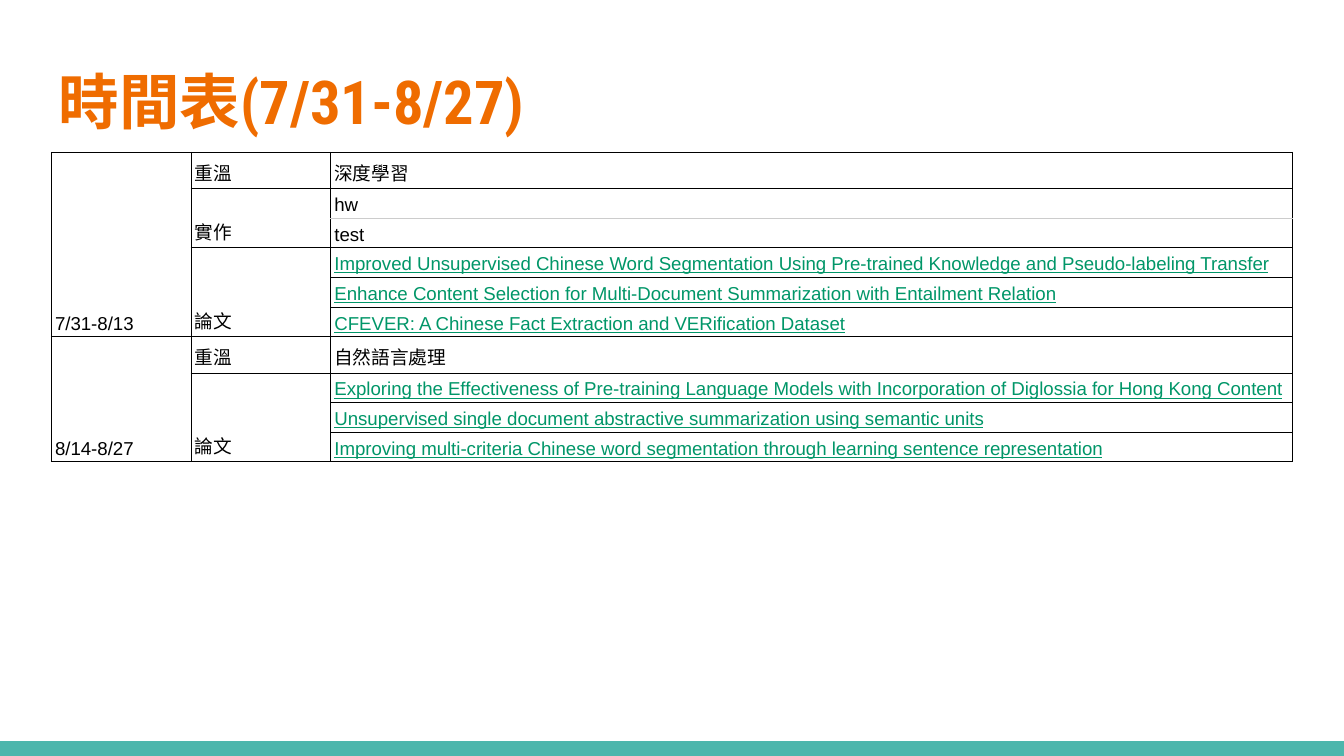
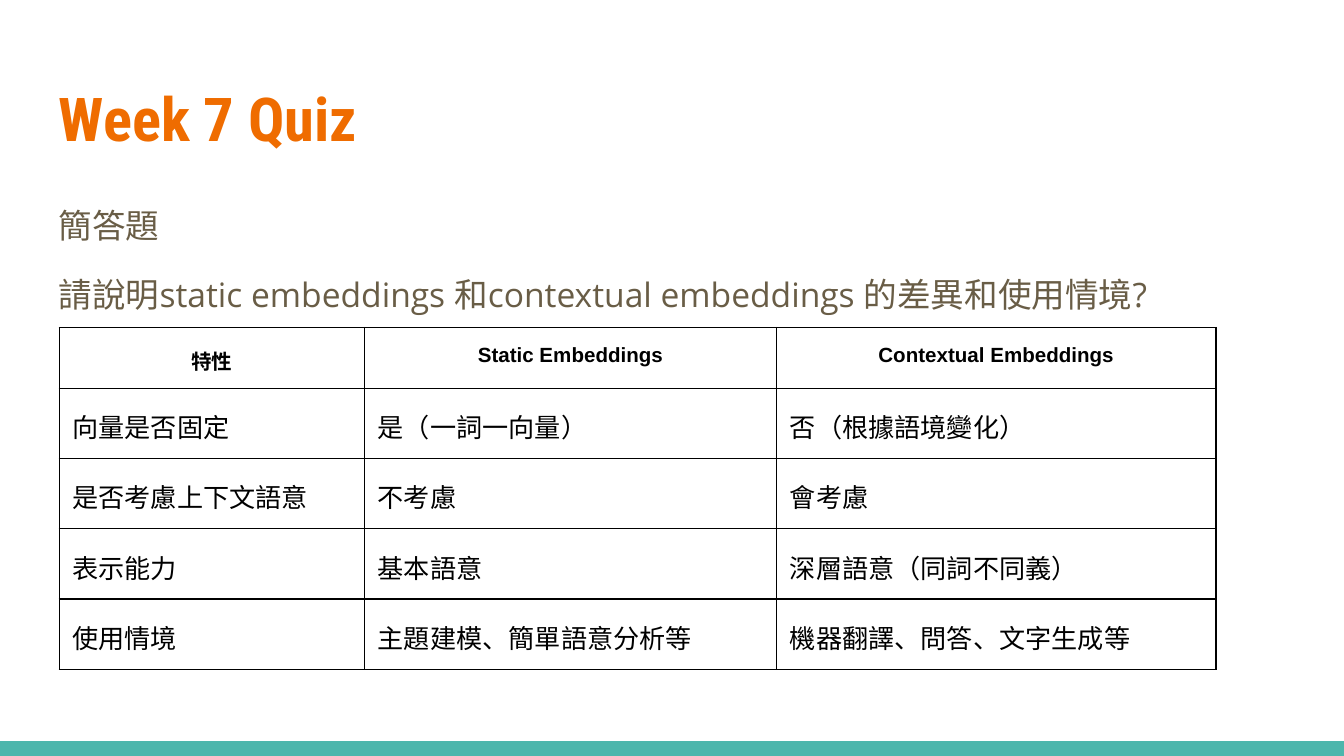
from lxml.etree import SubElement
from pptx import Presentation
from pptx.dml.color import RGBColor
from pptx.enum.shapes import MSO_SHAPE
from pptx.enum.text import MSO_ANCHOR, MSO_AUTO_SIZE, PP_ALIGN
from pptx.oxml.ns import qn
from pptx.util import Cm, Pt

COLORS = {"band": "4DB6AC", "title": "EF6C00", "body": "695D46",
          "text": "000000", "link": "009668", "border": "000000", "soft": "CCCCCC"}
LINE_SPACING = 1.15


def format_paragraph(para, font, size, color, bold=False, underline=False):
    for span in para.runs:
        span.font.name = font
        span.font.size = Pt(size)
        span.font.bold = bold
        span.font.underline = underline
        span.font.color.rgb = RGBColor.from_string(COLORS[color])


def set_borders(cell, width, soft_side=None):
    properties = cell._tc.get_or_add_tcPr()
    for side in ("lnL", "lnR", "lnT", "lnB"):
        line = SubElement(properties, qn(f"a:{side}"), w=str(Pt(width)))
        fill = SubElement(line, qn("a:solidFill"))
        color = COLORS["soft" if side == soft_side else "border"]
        SubElement(fill, qn("a:srgbClr"), val=color)


deck = Presentation()
deck.slide_width = Cm(25.4)
deck.slide_height = Cm(14.29)

# Pages with the shared band and title style
pages = []
for title, title_top, layout in (("時間表(7/31-8/27)", 0.91, 5), ("Week 7 Quiz", 1.24, 1)):
    page = deck.slides.add_slide(deck.slide_layouts[layout])
    pages.append(page)
    band = page.shapes.add_shape(MSO_SHAPE.RECTANGLE, 0, Cm(14.01), deck.slide_width, Cm(0.28))
    band.shadow.inherit = False
    band.fill.solid()
    band.fill.fore_color.rgb = RGBColor.from_string(COLORS["band"])
    band.line.fill.background()

    box = page.shapes.title
    box.left, box.top, box.width, box.height = Cm(0.86), Cm(title_top), Cm(23.67), Cm(1.96)
    frame = box.text_frame
    frame.text = title
    frame.auto_size = MSO_AUTO_SIZE.NONE
    frame.vertical_anchor = MSO_ANCHOR.MIDDLE
    frame.margin_left = frame.margin_right = frame.margin_top = frame.margin_bottom = Cm(0.25)
    frame.paragraphs[0].alignment = PP_ALIGN.LEFT
    format_paragraph(frame.paragraphs[0], "Roboto Condensed", 32.4, "title", bold=True)

schedule_page, quiz_page = pages

# Quiz question
box = quiz_page.placeholders[1]
box.left, box.top, box.width, box.height = Cm(0.86), Cm(3.51), Cm(23.67), Cm(9.17)
frame = box.text_frame
frame.text = "簡答題\n請說明static embeddings 和contextual embeddings 的差異和使用情境?"
frame.auto_size = MSO_AUTO_SIZE.NONE
frame.vertical_anchor = MSO_ANCHOR.TOP
frame.margin_left = frame.margin_right = frame.margin_top = frame.margin_bottom = Cm(0.25)
for para, gap in zip(frame.paragraphs, (0, 12)):
    para.line_spacing = LINE_SPACING
    para.space_before = para.space_after = Pt(gap)
    format_paragraph(para, "Open Sans", 18, "body")
    properties = para._p.get_or_add_pPr()
    properties.set("marL", "0")
    properties.set("indent", "0")
    SubElement(properties, qn("a:buNone"))

# Table contents; an empty cell continues the one above it
schedule_rows = [
    ("7/31-8/13", "重溫", "深度學習"),
    ("", "實作", "hw"),
    ("", "", "test"),
    ("", "論文", "Improved Unsupervised Chinese Word Segmentation Using "
                 "Pre-trained Knowledge and Pseudo-labeling Transfer"),
    ("", "", "Enhance Content Selection for Multi-Document Summarization with Entailment Relation"),
    ("", "", "CFEVER: A Chinese Fact Extraction and VERification Dataset"),
    ("8/14-8/27", "重溫", "自然語言處理"),
    ("", "論文", "Exploring the Effectiveness of Pre-training Language Models "
                 "with Incorporation of Diglossia for Hong Kong Content"),
    ("", "", "Unsupervised single document abstractive summarization using semantic units"),
    ("", "", "Improving multi-criteria Chinese word segmentation "
             "through learning sentence representation"),
]
quiz_rows = [
    ("特性", "Static Embeddings", "Contextual Embeddings"),
    ("向量是否固定", "是（一詞一向量）", "否（根據語境變化）"),
    ("是否考慮上下文語意", "不考慮", "會考慮"),
    ("表示能力", "基本語意", "深層語意（同詞不同義）"),
    ("使用情境", "主題建模、簡單語意分析等", "機器翻譯、問答、文字生成等"),
]
schedule_heights = [0.64 if row[1] == "重溫" else 0.56 for row in schedule_rows]
quiz_heights = [0.79] + [0.91] * 4

# Both tables: page, rows, left, top, column widths, row heights, margins, border
tables = []
for page, rows, left, top, widths, heights, margin_x, margin_y, border in (
        (schedule_page, schedule_rows, 0.97, 2.88, (2.64, 2.64, 18.18),
         schedule_heights, 0.07, 0.05, 0.5),
        (quiz_page, quiz_rows, 1.12, 6.19, (5.77, 7.79, 8.3),
         quiz_heights, 0.25, 0.25, 0.75)):
    table = page.shapes.add_table(len(rows), len(widths), Cm(left), Cm(top),
                                  Cm(sum(widths)), Cm(sum(heights))).table
    tables.append(table)
    table.first_row = table.horz_banding = False
    for column, width in zip(table.columns, widths):
        column.width = Cm(width)
    for row, height in zip(table.rows, heights):
        row.height = Cm(height)
    for r, texts in enumerate(rows):
        for c, text in enumerate(texts):
            cell = table.cell(r, c)
            cell.text = text
            cell.margin_left = cell.margin_right = Cm(margin_x)
            cell.margin_top = cell.margin_bottom = Cm(margin_y)
            soft_side = {"hw": "lnB", "test": "lnT"}.get(text)
            set_borders(cell, border, soft_side)
            cell.fill.background()
            cell.text_frame.paragraphs[0].line_spacing = LINE_SPACING

schedule, quiz = tables

# Schedule: bottom-aligned text, paper titles as underlined green
topic = ""
for r, texts in enumerate(schedule_rows):
    topic = texts[1] or topic
    for c in range(3):
        cell = schedule.cell(r, c)
        cell.vertical_anchor = MSO_ANCHOR.BOTTOM
        is_paper = c == 2 and topic == "論文"
        format_paragraph(cell.text_frame.paragraphs[0], "Arial", 10,
                         "link" if is_paper else "text", underline=is_paper)

# Merge each date and topic with the empty cells below
for c in (0, 1):
    starts = [r for r, texts in enumerate(schedule_rows) if texts[c]]
    for start, following in zip(starts, starts[1:] + [len(schedule_rows)]):
        if following - start > 1:
            schedule.cell(start, c).merge(schedule.cell(following - 1, c))

# Quiz: bold centred header above larger answers
for r in range(len(quiz_rows)):
    for c in range(3):
        para = quiz.cell(r, c).text_frame.paragraphs[0]
        para.alignment = PP_ALIGN.CENTER if r == 0 else PP_ALIGN.LEFT
        format_paragraph(para, "Arial", 11 if r == 0 else 14, "text", bold=r == 0)

deck.save("out.pptx")
